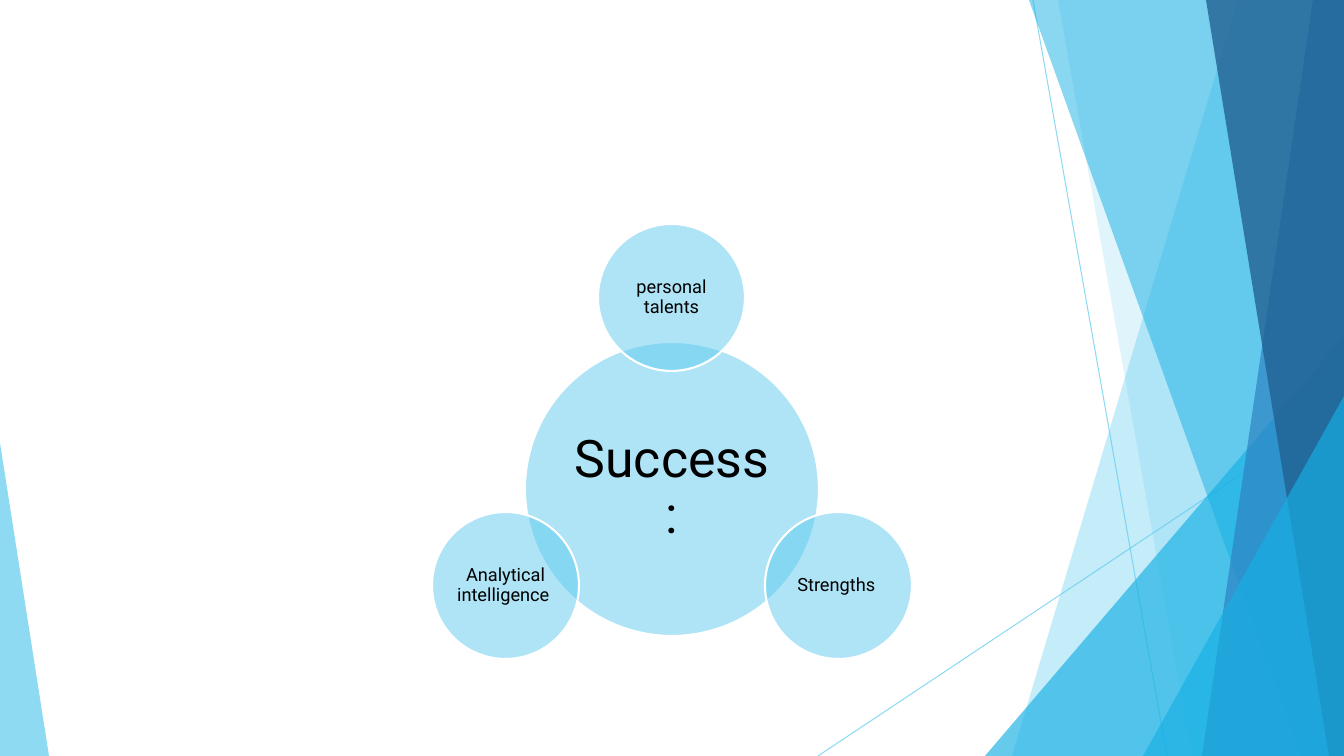
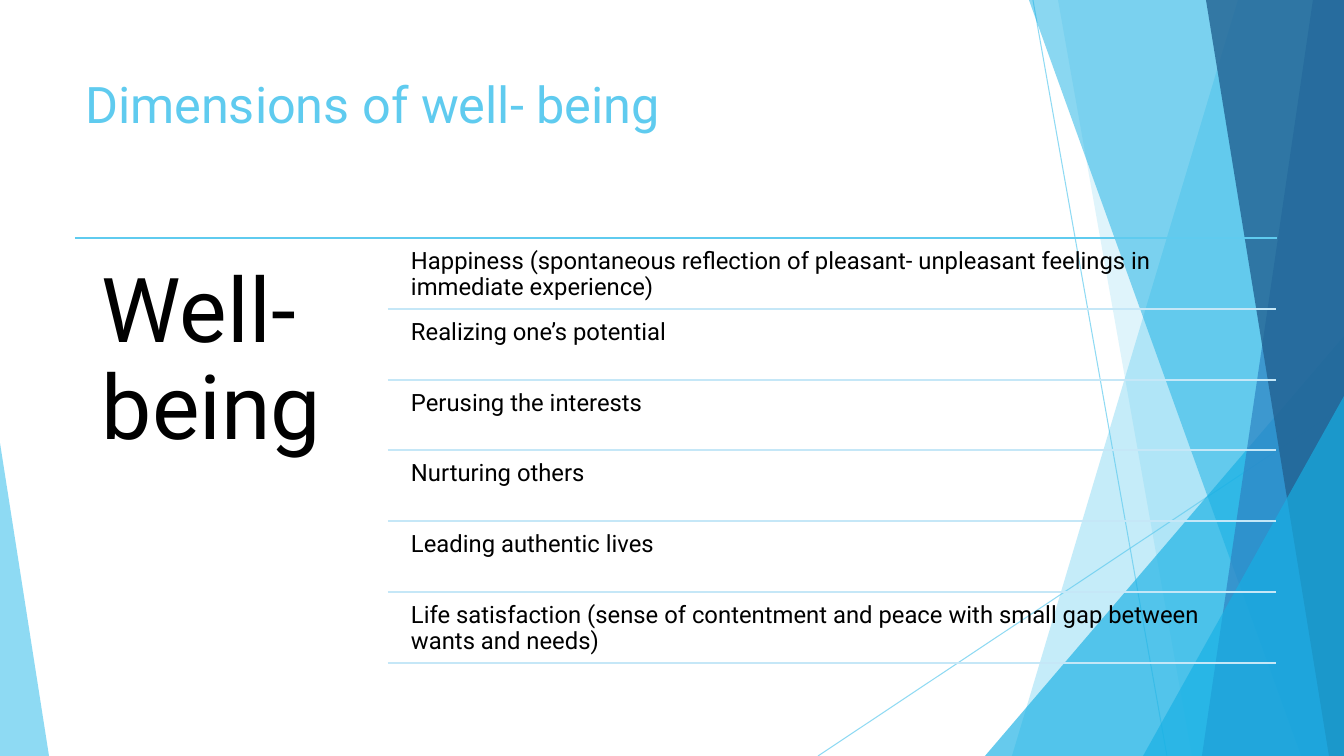
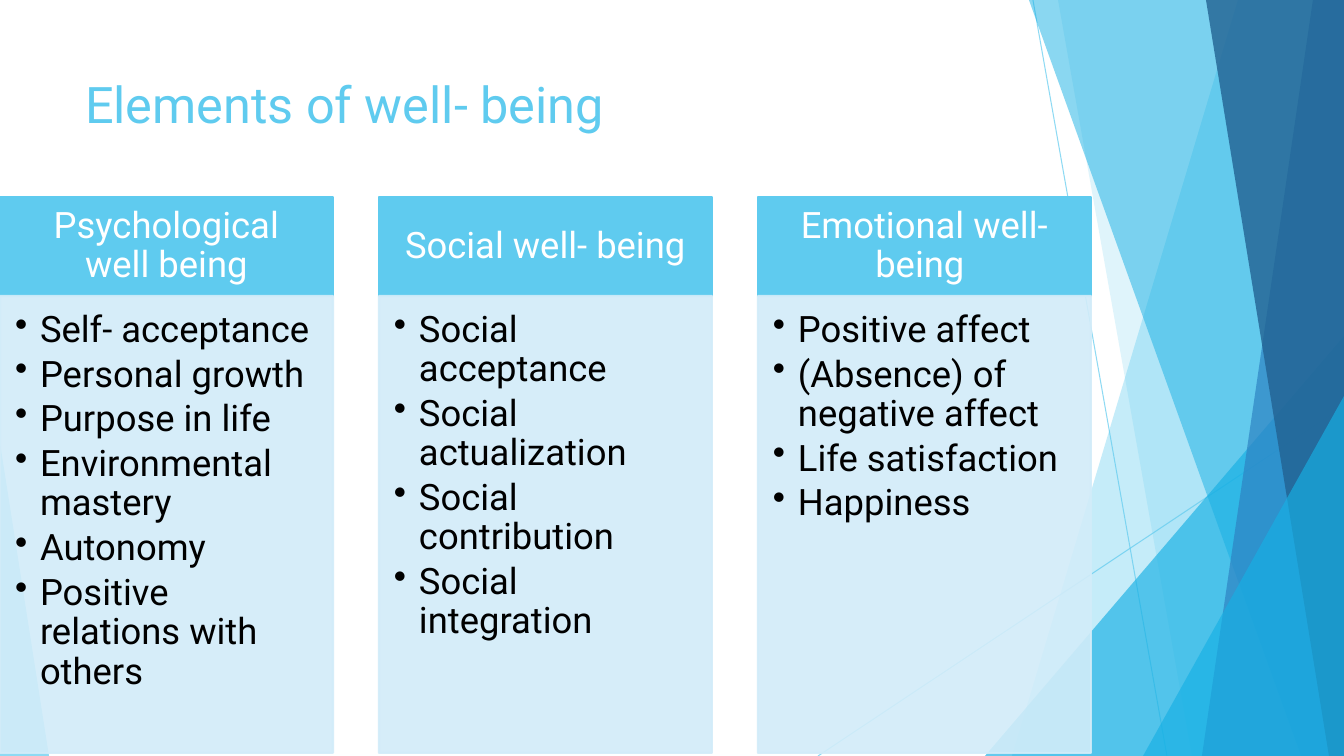
import math
from dataclasses import dataclass
from typing import Any, Optional, Union

import pptx
import pptx.dml.color
import pptx.enum.shapes
import pptx.enum.text
import pptx.oxml.ns
import pptx.util
from lxml import etree

SLIDE_W, SLIDE_H = 1344, 756
EMU_PER_PX = 12192000 / SLIDE_W
FONT = "Roboto"
COLORS = {
    "sky": "5FCBEF",
    "cyan": "17B0E4",
    "blue": "2E83C3",
    "navy": "226292",
    "rule": "C5E7F7",
    "panel": "D2ECF9",
    "white": "FFFFFF",
    "black": "000000",
}
SHAPE = pptx.enum.shapes.MSO_SHAPE
ALIGN = pptx.enum.text.PP_ALIGN
ANCHOR = pptx.enum.text.MSO_ANCHOR
qn = pptx.oxml.ns.qn


@dataclass(frozen=True)
class Box:
    x: int
    y: int
    w: int
    h: int


@dataclass(frozen=True)
class Paint:
    color: str
    alpha: int = 100


@dataclass(frozen=True)
class Band:
    top_x: int
    bottom_x: int
    paint: Paint


@dataclass(frozen=True)
class Triangle:
    box: Box
    apex: int
    paint: Paint


@dataclass(frozen=True)
class Ray:
    x1: int
    y1: int
    x2: int
    y2: int


@dataclass(frozen=True)
class TextStyle:
    size: int
    color: str = "black"
    align: Any = ALIGN.LEFT
    anchor: Any = ANCHOR.TOP
    insets: tuple[int, int, int, int] = (10, 5, 10, 5)
    line_spacing: Optional[float] = 0.9
    after: float = 0.35
    bullet_indent: int = 0


@dataclass(frozen=True)
class Column:
    heading: str
    items: list[str]


RAYS = [Ray(1033, 0, 1167, SLIDE_H), Ray(SLIDE_W, 406, 818, SLIDE_H)]
FACETS: list[Union[Band, Triangle]] = [
    Band(1238, 1012, Paint("sky", 36)),
    Band(1058, 1192, Paint("sky", 20)),
    Triangle(Box(985, 336, 359, 420), 1, Paint("cyan", 66)),
    Band(1029, 1301, Paint("cyan", 50)),
    Band(1313, 1202, Paint("blue", 70)),
    Band(1206, 1329, Paint("navy", 80)),
    Triangle(Box(1143, 396, 201, 360), 1, Paint("cyan", 66)),
    Triangle(Box(0, 443, 49, 313), 0, Paint("sky", 70)),
]

TITLE = TextStyle(36, "sky", line_spacing=None, after=0)
HUB = TextStyle(37, align=ALIGN.CENTER, anchor=ANCHOR.MIDDLE, insets=(5, 5, 5, 5))
SATELLITE = TextStyle(13, align=ALIGN.CENTER, anchor=ANCHOR.MIDDLE, insets=(2, 2, 2, 2))
TOPIC = TextStyle(64, insets=(27, 27, 27, 27))
ROW = TextStyle(17, insets=(7, 7, 7, 7))
HEADING = TextStyle(26, "white", ALIGN.CENTER, ANCHOR.MIDDLE, (20, 12, 20, 12))
ITEMS = TextStyle(26, insets=(15, 15, 20, 23), after=0.15, bullet_indent=25)

SATELLITES = ["personal talents", "Strengths ", "Analytical intelligence "]
DIMENSIONS = [
    "Happiness (spontaneous reflection of pleasant- unpleasant feelings in immediate experience)",
    "Realizing one’s potential",
    "Perusing the interests",
    "Nurturing others",
    "Leading authentic lives",
    "Life satisfaction (sense of contentment and peace with small gap between wants and needs)",
]
COLUMNS = [
    Column("Psychological well being", [
        "Self- acceptance", "Personal growth", "Purpose in life",
        "Environmental mastery", "Autonomy", "Positive relations with others",
    ]),
    Column("Social well- being", [
        "Social acceptance", "Social actualization", "Social contribution", "Social integration",
    ]),
    Column("Emotional well- being ", [
        "Positive affect", "(Absence) of negative affect", "Life satisfaction", "Happiness",
    ]),
]


def px(n: float) -> int:
    return pptx.util.Emu(round(n * EMU_PER_PX))


def rgb(name: str) -> Any:
    return pptx.dml.color.RGBColor.from_string(COLORS[name])


def set_alpha(parent: Any, alpha: int) -> None:
    if alpha < 100:
        color = parent.find(f"{qn('a:solidFill')}/{qn('a:srgbClr')}")
        etree.SubElement(color, qn("a:alpha")).set("val", str(alpha * 1000))


def paint_line(sp: Any, paint: Paint, width: float) -> None:
    sp.line.color.rgb = rgb(paint.color)
    sp.line.width = pptx.util.Pt(width)
    set_alpha(sp.element.spPr.find(qn("a:ln")), paint.alpha)


def paint_shape(sp: Any, fill: Paint, line: Optional[Paint] = None) -> None:
    sp.shadow.inherit = False
    sp.fill.solid()
    sp.fill.fore_color.rgb = rgb(fill.color)
    set_alpha(sp.element.spPr, fill.alpha)
    if line:
        paint_line(sp, line, 1.5)
    else:
        sp.line.fill.background()


def add_shape(s: Any, kind: Any, box: Box, fill: Paint, line: Optional[Paint] = None) -> Any:
    sp = s.shapes.add_shape(kind, px(box.x), px(box.y), px(box.w), px(box.h))
    paint_shape(sp, fill, line)
    return sp


def add_line(s: Any, ray: Ray, paint: Paint, width: float) -> None:
    cn = s.shapes.add_connector(
        pptx.enum.shapes.MSO_CONNECTOR.STRAIGHT, px(ray.x1), px(ray.y1), px(ray.x2), px(ray.y2))
    paint_line(cn, paint, width)
    etree.SubElement(cn.element.spPr, qn("a:effectLst"))


def add_bullet(p: Any, indent: int) -> None:
    ppr = p._p.get_or_add_pPr()
    ppr.set("marL", str(px(indent)))
    ppr.set("indent", str(-px(indent)))
    etree.SubElement(ppr, qn("a:buChar")).set("char", "•")


def write_text(sp: Any, lines: list[str], style: TextStyle) -> None:
    tf = sp.text_frame
    tf.word_wrap = True
    tf.vertical_anchor = style.anchor
    tf.margin_left, tf.margin_top, tf.margin_right, tf.margin_bottom = map(px, style.insets)
    tf.text = "\n".join(lines)
    for p in tf.paragraphs:
        p.alignment = style.align
        p.line_spacing = style.line_spacing
        p.space_after = pptx.util.Pt(round(style.size * style.after, 1))
        if style.bullet_indent:
            add_bullet(p, style.bullet_indent)
        for r in p.runs:
            r.font.name = FONT
            r.font.size = pptx.util.Pt(style.size)
            r.font.color.rgb = rgb(style.color)


def add_text(s: Any, box: Box, text: str, style: TextStyle) -> None:
    sp = s.shapes.add_textbox(px(box.x), px(box.y), px(box.w), px(box.h))
    write_text(sp, [text], style)


def add_facet(s: Any, facet: Union[Band, Triangle]) -> None:
    if isinstance(facet, Triangle):
        sp = add_shape(s, SHAPE.ISOSCELES_TRIANGLE, facet.box, facet.paint)
        sp.adjustments[0] = facet.apex
        return
    outline = s.shapes.build_freeform(facet.top_x, 0, scale=EMU_PER_PX)
    outline.add_line_segments([(SLIDE_W, 0), (SLIDE_W, SLIDE_H), (facet.bottom_x, SLIDE_H)], close=True)
    paint_shape(outline.convert_to_shape(), facet.paint)


def new_slide(prs: Any, title: str = "") -> Any:
    s = prs.slides.add_slide(prs.slide_layouts[6])
    for ray in RAYS:
        add_line(s, ray, Paint("sky", 70), 0.75)
    for facet in FACETS:
        add_facet(s, facet)
    if title:
        add_text(s, Box(75, 68, 947, 145), title, TITLE)
    return s


def add_circle(s: Any, cx: float, cy: float, size: int, text: str, style: TextStyle) -> None:
    box = Box(round(cx - size / 2), round(cy - size / 2), size, size)
    sp = add_shape(s, SHAPE.OVAL, box, Paint("sky", 50), Paint("white"))
    write_text(sp, [text], style)


def success_slide(prs: Any) -> None:
    s = new_slide(prs)
    cx, cy, orbit = 672, 489, 192
    add_circle(s, cx, cy, 294, "Success:", HUB)
    for i, text in enumerate(SATELLITES):
        angle = 2 * math.pi * i / len(SATELLITES)
        add_circle(s, cx + orbit * math.sin(angle), cy - orbit * math.cos(angle), 147, text, SATELLITE)


def dimensions_slide(prs: Any) -> None:
    s = new_slide(prs, "Dimensions of well- being")
    top, bottom = 238, 663
    add_line(s, Ray(75, top, 1277, top), Paint("sky"), 1.5)
    add_text(s, Box(75, top, 312, 360), "Well- being", TOPIC)
    pitch = (bottom - top) / len(DIMENSIONS)
    for i, text in enumerate(DIMENSIONS):
        y, end = round(top + i * pitch), round(top + (i + 1) * pitch)
        add_text(s, Box(404, y + 4, 872, 68), text, ROW)
        add_line(s, Ray(388, end, 1276, end), Paint("rule"), 1.5)


def elements_slide(prs: Any) -> None:
    s = new_slide(prs, "Elements of well- being")
    top, width, gap, head_h, body_h = 197, 333, 46, 99, 457
    for i, column in enumerate(COLUMNS):
        x = i * (width + gap)
        head = add_shape(s, SHAPE.RECTANGLE, Box(x, top, width, head_h), Paint("sky"), Paint("sky"))
        write_text(head, [column.heading], HEADING)
        panel = Paint("panel", 90)
        body = add_shape(s, SHAPE.RECTANGLE, Box(x, top + head_h, width, body_h), panel, panel)
        write_text(body, column.items, ITEMS)


def main() -> None:
    prs = pptx.Presentation()
    prs.slide_width, prs.slide_height = px(SLIDE_W), px(SLIDE_H)
    success_slide(prs)
    dimensions_slide(prs)
    elements_slide(prs)
    prs.save("out.pptx")


if __name__ == "__main__":
    main()
